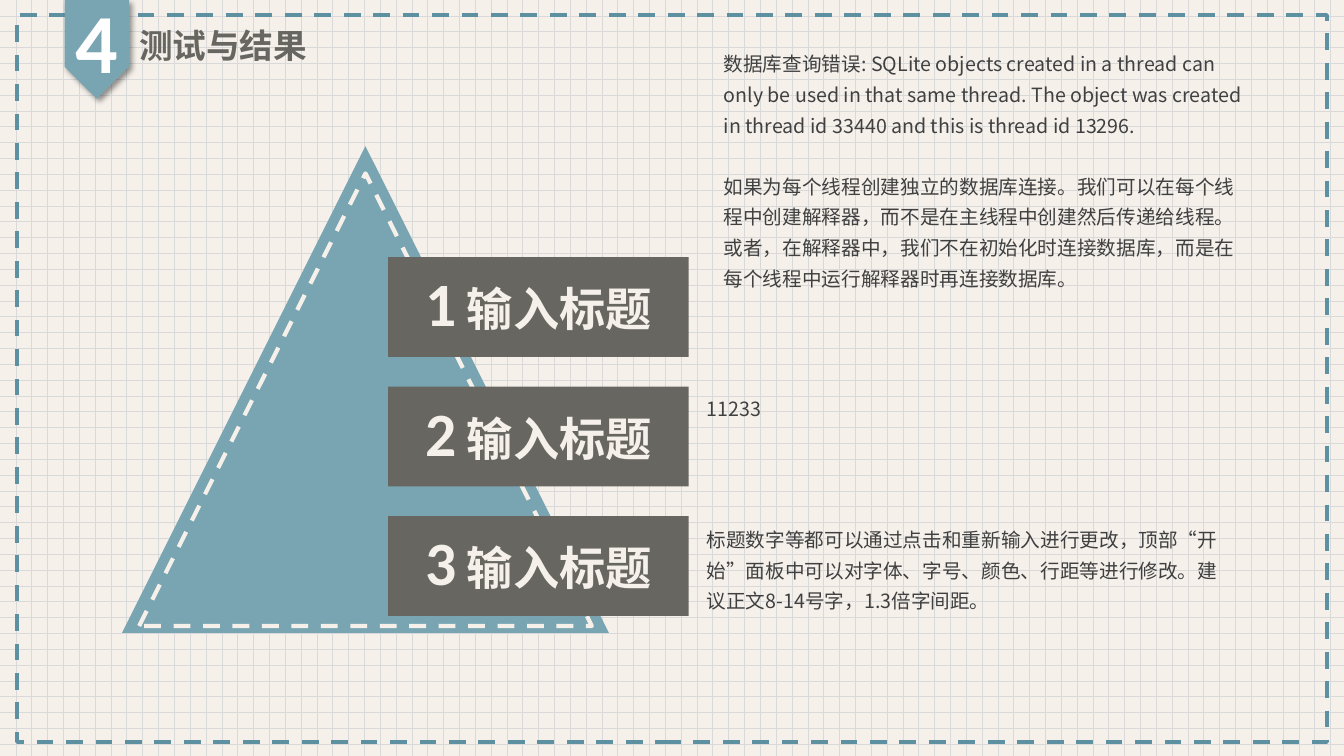
from dataclasses import dataclass

from lxml.etree import SubElement
from pptx import Presentation
from pptx.dml.color import RGBColor
from pptx.enum.dml import MSO_LINE, MSO_PATTERN
from pptx.enum.shapes import MSO_SHAPE
from pptx.enum.text import MSO_ANCHOR, MSO_AUTO_SIZE, PP_ALIGN
from pptx.oxml.ns import qn
from pptx.util import Inches, Pt

PAPER = RGBColor(0xF5, 0xF0, 0xEA)
GRID = RGBColor(0xD9, 0xD9, 0xD9)
TEAL = RGBColor(0x79, 0xA5, 0xB2)
DARK_TEAL = RGBColor(0x5D, 0x91, 0xA1)
STONE = RGBColor(0x67, 0x66, 0x61)
INK = RGBColor(0x40, 0x40, 0x40)
WHITE = RGBColor(0xFF, 0xFF, 0xFF)
HAN_FONT = "Noto Sans CJK SC"
DIGIT_FONT = "Calibri"

HEADING = {"size": Pt(24), "bold": True, "name": HAN_FONT}
BADGE_DIGIT = {"size": Pt(60), "bold": True, "name": DIGIT_FONT}
LABEL_DIGIT = {"size": Pt(44), "bold": True, "name": DIGIT_FONT}
LABEL_WORDS = {"size": Pt(33), "bold": True, "name": DIGIT_FONT}
BODY = {"size": Pt(14), "bold": False, "name": HAN_FONT}


@dataclass(frozen=True)
class Box:
    left: float
    top: float
    width: float
    height: float

    def lengths(self) -> tuple:
        return tuple(Inches(v) for v in (self.left, self.top, self.width, self.height))


@dataclass(frozen=True)
class Note:
    box: Box
    paragraphs: tuple[str, ...]


NOTES = (
    Note(Box(7.08, 0.4, 5.37, 2.52), (
        "数据库查询错误: SQLite objects created in a thread can only be used in that "
        "same thread. The object was created in thread id 33440 and this is thread id 13296.",
        "如果为每个线程创建独立的数据库连接。我们可以在每个线程中创建解释器，"
        "而不是在主线程中创建然后传递给线程。或者，在解释器中，"
        "我们不在初始化时连接数据库，而是在每个线程中运行解释器时再连接数据库。",
    )),
    Note(Box(6.91, 3.82, 5.37, 0.68), ("11233",)),
    Note(Box(6.91, 5.12, 5.37, 1.02), (
        "标题数字等都可以通过点击和重新输入进行更改，顶部“开始”面板中可以对字体、"
        "字号、颜色、行距等进行修改。建议正文8-14号字，1.3倍字间距。",
    )),
)
LABELS = ("输入标题",) * 3
LABEL_TOP, LABEL_STEP = 2.55, 1.285


def add_run(paragraph, text: str, formats: dict, color: RGBColor) -> None:
    run = paragraph.add_run()
    run.text = text
    for attribute, value in formats.items():
        setattr(run.font, attribute, value)
    run.font.color.rgb = color
    SubElement(run.font._element, qn("a:ea"), typeface=HAN_FONT)


def add_filled(shapes, kind: MSO_SHAPE, box: Box, color: RGBColor):
    shape = shapes.add_shape(kind, *box.lengths())
    shape.shadow.inherit = False
    shape.fill.solid()
    shape.fill.fore_color.rgb = color
    shape.line.fill.background()
    return shape


def add_dashed(shapes, kind: MSO_SHAPE, box: Box, color: RGBColor) -> None:
    shape = shapes.add_shape(kind, *box.lengths())
    shape.shadow.inherit = False
    shape.fill.background()
    shape.line.color.rgb = color
    shape.line.width = Pt(3)
    shape.line.dash_style = MSO_LINE.DASH


def add_drop_shadow(shape) -> None:
    effects = shape._element.spPr.find(qn("a:effectLst"))
    outer = SubElement(effects, qn("a:outerShdw"), blurRad=str(Pt(4)), dist=str(Pt(3)),
                       dir="2700000", algn="tl", rotWithShape="0")
    color = SubElement(outer, qn("a:srgbClr"), val="000000")
    SubElement(color, qn("a:alpha"), val="40000")


def add_label(shapes, number: int, words: str) -> None:
    box = Box(3.85, LABEL_TOP + (number - 1) * LABEL_STEP, 2.98, 0.99)
    label = add_filled(shapes, MSO_SHAPE.RECTANGLE, box, STONE)
    frame = label.text_frame
    frame.word_wrap = True
    frame.vertical_anchor = MSO_ANCHOR.MIDDLE
    for side in ("left", "top", "right", "bottom"):
        setattr(frame, f"margin_{side}", Inches(0.19))
    line = frame.paragraphs[0]
    line.alignment = PP_ALIGN.CENTER
    line.line_spacing = 0.9
    add_run(line, str(number), LABEL_DIGIT, PAPER)
    add_run(line, f" {words}", LABEL_WORDS, PAPER)


def add_note(shapes, note: Note) -> None:
    frame = shapes.add_textbox(*note.box.lengths()).text_frame
    frame.word_wrap = True
    for index, text in enumerate(note.paragraphs):
        paragraph = frame.add_paragraph() if index else frame.paragraphs[0]
        paragraph.line_spacing = 1.3
        paragraph.space_before = Pt(22 if index else 0)
        add_run(paragraph, text, BODY, INK)


def main() -> None:
    deck = Presentation()
    deck.slide_width, deck.slide_height = Inches(13.33), Inches(7.5)
    slide = deck.slides.add_slide(deck.slide_layouts[5])
    shapes = slide.shapes

    # Grid paper and dashed frame
    paper = slide.background.fill
    paper.patterned()
    paper.pattern = MSO_PATTERN.DOTTED_GRID
    paper.fore_color.rgb = GRID
    paper.back_color.rgb = PAPER
    add_dashed(shapes, MSO_SHAPE.RECTANGLE, Box(0.17, 0.15, 12.99, 7.21), DARK_TEAL)

    # Heading
    heading = shapes.title
    heading.left, heading.top, heading.width, heading.height = Box(1.28, 0.2, 1.88, 0.5).lengths()
    frame = heading.text_frame
    frame.word_wrap = False
    frame.auto_size = MSO_AUTO_SIZE.NONE
    frame.vertical_anchor = MSO_ANCHOR.TOP
    frame.paragraphs[0].alignment = PP_ALIGN.LEFT
    add_run(frame.paragraphs[0], "测试与结果", HEADING, STONE)

    # Section badge
    badge = add_filled(shapes, MSO_SHAPE.PENTAGON, Box(0.47, 0.17, 0.98, 0.64), TEAL)
    badge.rotation = 90
    add_drop_shadow(badge)
    section = shapes.add_textbox(*Box(0.65, -0.15, 0.63, 1.11).lengths()).text_frame
    section.word_wrap = False
    add_run(section.paragraphs[0], "4", BADGE_DIGIT, WHITE)

    # Pyramid with its three labels
    pyramid = shapes.add_group_shape().shapes
    add_filled(pyramid, MSO_SHAPE.ISOSCELES_TRIANGLE, Box(1.21, 1.45, 4.83, 4.83), TEAL)
    add_dashed(pyramid, MSO_SHAPE.ISOSCELES_TRIANGLE, Box(1.38, 1.72, 4.49, 4.49), PAPER)
    for number, words in enumerate(LABELS, start=1):
        add_label(pyramid, number, words)

    # Explanations
    for note in NOTES:
        add_note(shapes, note)

    deck.save("out.pptx")


if __name__ == "__main__":
    main()
